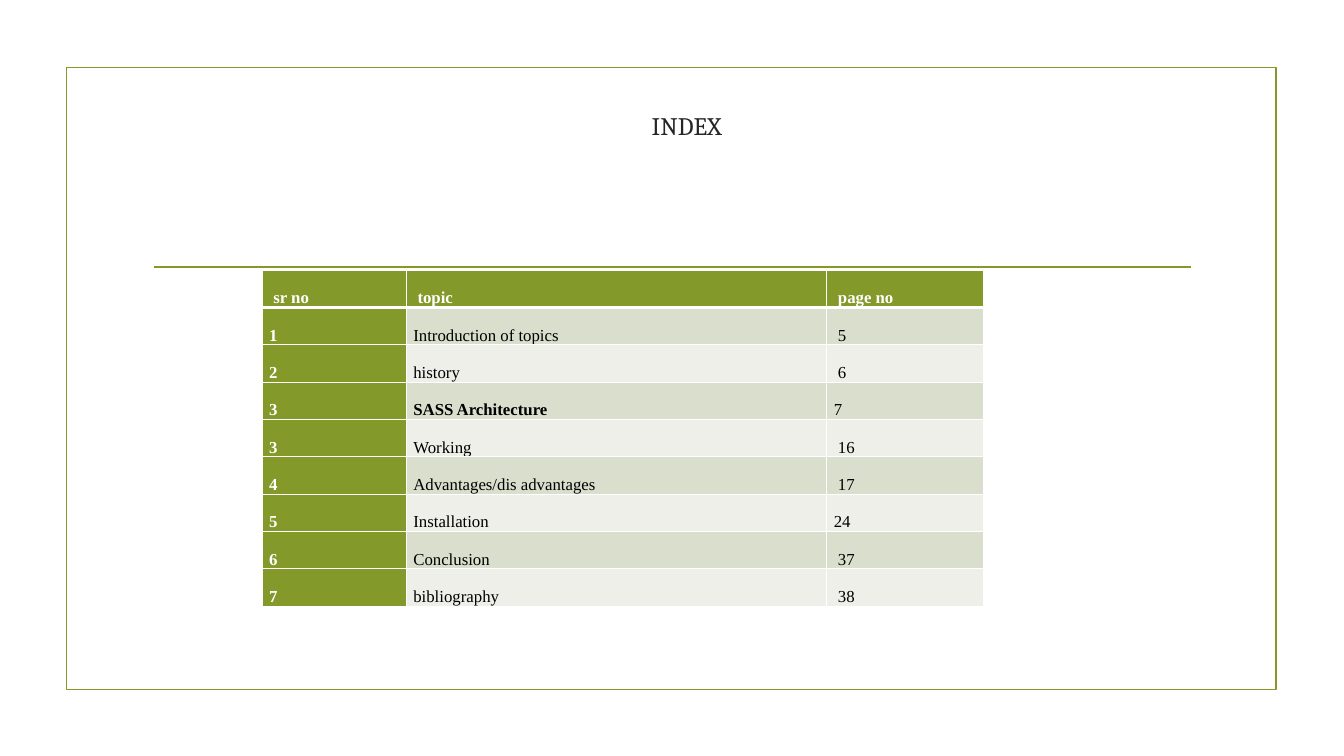
"""Build the index slide: a framed title above a table of topics."""
import dataclasses
import typing

import lxml.etree
import pptx
import pptx.dml.color
import pptx.enum.shapes
import pptx.enum.text
import pptx.oxml.ns
import pptx.util

Inches = pptx.util.Inches
Pt = pptx.util.Pt
RGB = pptx.dml.color.RGBColor
qn = pptx.oxml.ns.qn


@dataclasses.dataclass(frozen=True)
class Theme:
    green: RGB = RGB(0x83, 0x99, 0x2A)
    dark: RGB = RGB(0xD9, 0xDE, 0xCD)
    light: RGB = RGB(0xED, 0xEF, 0xE8)
    white: RGB = RGB(255, 255, 255)
    black: RGB = RGB(0, 0, 0)
    ink: RGB = RGB(0x26, 0x26, 0x26)
    head: str = "Cambria"
    body: str = "Times New Roman"
    title: Pt = Pt(18)
    text: Pt = Pt(12)
    rule: Pt = Pt(1.25)
    edge: Pt = Pt(1)
    thick: Pt = Pt(3)


class Entry(typing.NamedTuple):
    number: str
    topic: str
    page: str
    bold: bool = False


THEME = Theme()
WIDTHS = (1.43, 4.17, 1.56)
ENTRIES = (
    Entry("\u00a0sr no", "\u00a0topic", "\u00a0page no", True),
    Entry("1", "Introduction of topics", "\u00a05"),
    Entry("2", "history", "\u00a06"),
    Entry("3", "SASS Architecture", "7", True),
    Entry("3", "Working", "\u00a016"),
    Entry("4", "Advantages/dis advantages", "\u00a017"),
    Entry("5", "Installation", "24"),
    Entry("6", "Conclusion", "\u00a037"),
    Entry("7", "bibliography", "\u00a038"),
)


def style(run, font: str, size: Pt, color: RGB, bold: bool = False) -> None:
    run.font.name = font
    run.font.size = size
    run.font.color.rgb = color
    run.font.bold = bold


def border(cell, top: Pt, bottom: Pt) -> None:
    props = cell._tc.get_or_add_tcPr()
    sides = (("L", THEME.edge), ("R", THEME.edge), ("T", top), ("B", bottom))
    for place, (side, width) in enumerate(sides):
        line = lxml.etree.Element(qn(f"a:ln{side}"), w=str(int(width)))
        fill = lxml.etree.SubElement(line, qn("a:solidFill"))
        lxml.etree.SubElement(fill, qn("a:srgbClr"), val=str(THEME.white))
        props.insert(place, line)


def fill_cell(cell, text: str, row: int, col: int, bold: bool) -> None:
    strong = row == 0 or col == 0
    band = THEME.dark if row % 2 else THEME.light
    cell.fill.solid()
    cell.fill.fore_color.rgb = THEME.green if strong else band
    cell.margin_left = cell.margin_right = Inches(0.07)
    cell.margin_top = cell.margin_bottom = 0
    para = cell.text_frame.paragraphs[0]
    para.text = text
    para.line_spacing = 2.0
    para.space_after = Pt(8)
    color = THEME.white if strong else THEME.black
    style(para.runs[0], THEME.body, THEME.text, color, strong or bold)
    border(cell, THEME.thick if row == 1 else THEME.edge,
           THEME.thick if row == 0 else THEME.edge)


def add_title(slide) -> None:
    title = slide.shapes.title
    title.left, title.top = Inches(0.92), Inches(0.37)
    title.width, title.height = Inches(11.5), Inches(1.45)
    frame = title.text_frame
    frame.text = "INDEX"
    frame.auto_size = pptx.enum.text.MSO_AUTO_SIZE.NONE
    frame.vertical_anchor = pptx.enum.text.MSO_ANCHOR.MIDDLE
    frame.margin_left, frame.margin_top = Inches(0.38), Inches(0.35)
    para = frame.paragraphs[0]
    para.alignment = pptx.enum.text.PP_ALIGN.CENTER
    style(para.runs[0], THEME.head, THEME.title, THEME.ink)


def add_frame(slide) -> None:
    frame = slide.shapes.add_shape(
        pptx.enum.shapes.MSO_SHAPE.RECTANGLE,
        Inches(0.66), Inches(0.67), Inches(12), Inches(6.17))
    frame.shadow.inherit = False
    frame.fill.background()
    rule = slide.shapes.add_connector(
        pptx.enum.shapes.MSO_CONNECTOR.STRAIGHT,
        Inches(1.53), Inches(2.65), Inches(11.81), Inches(2.65))
    lxml.etree.SubElement(rule._element.spPr, qn("a:effectLst"))
    for shape in (frame, rule):
        shape.line.color.rgb = THEME.green
        shape.line.width = THEME.rule


def add_index(slide) -> None:
    table = slide.shapes.add_table(
        len(ENTRIES), len(WIDTHS), Inches(2.6), Inches(2.68),
        Inches(sum(WIDTHS)), Inches(3.25)).table
    table.first_col = True
    for column, width in zip(table.columns, WIDTHS):
        column.width = Inches(width)
    for row, entry in enumerate(ENTRIES):
        for col, text in enumerate(entry[:3]):
            bold = entry.bold and col == 1
            fill_cell(table.cell(row, col), text, row, col, bold)


def main() -> None:
    deck = pptx.Presentation()
    deck.slide_width, deck.slide_height = Inches(13.33), Inches(7.5)
    slide = deck.slides.add_slide(deck.slide_layouts[5])
    add_frame(slide)
    add_title(slide)
    add_index(slide)
    deck.save("out.pptx")


main()
